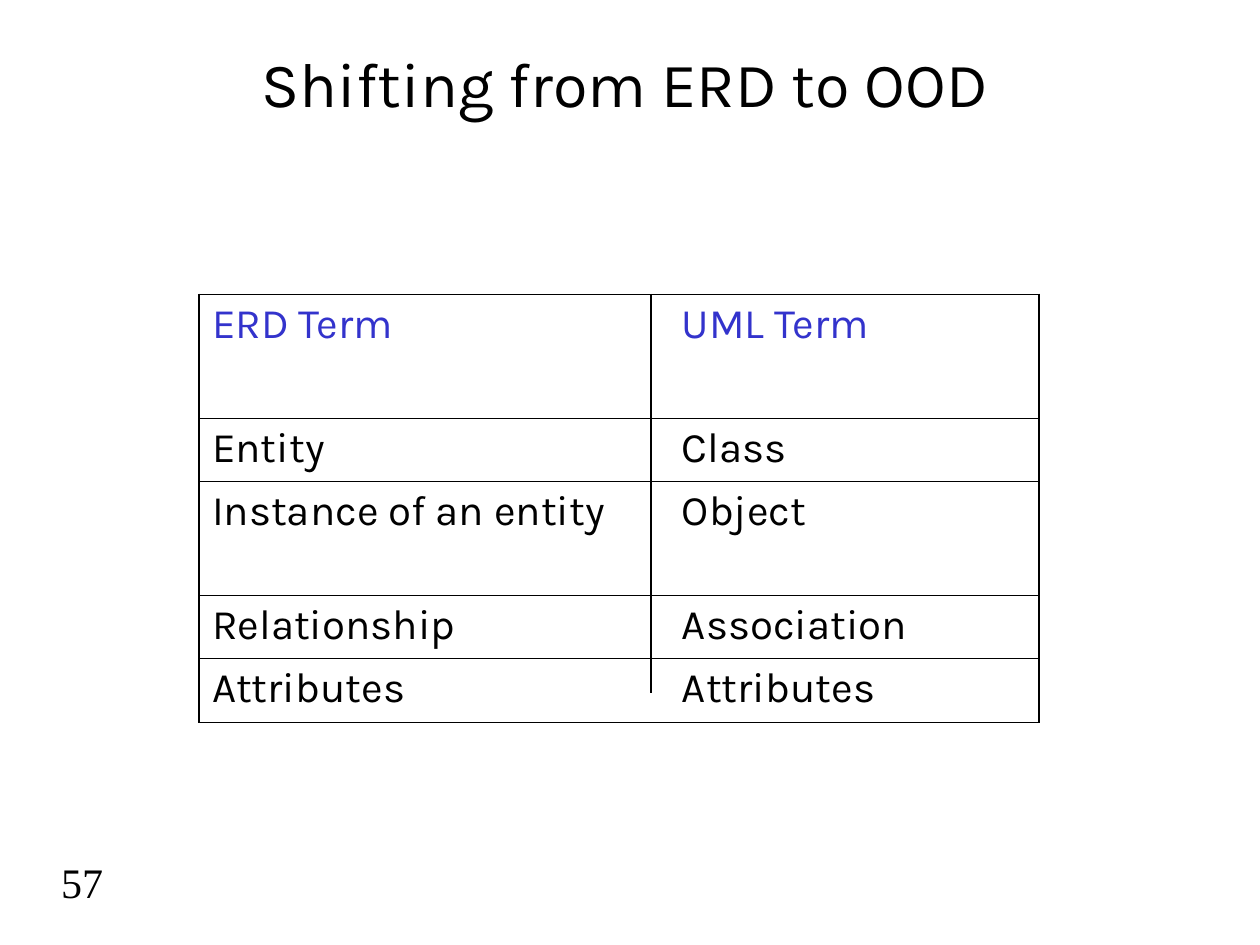
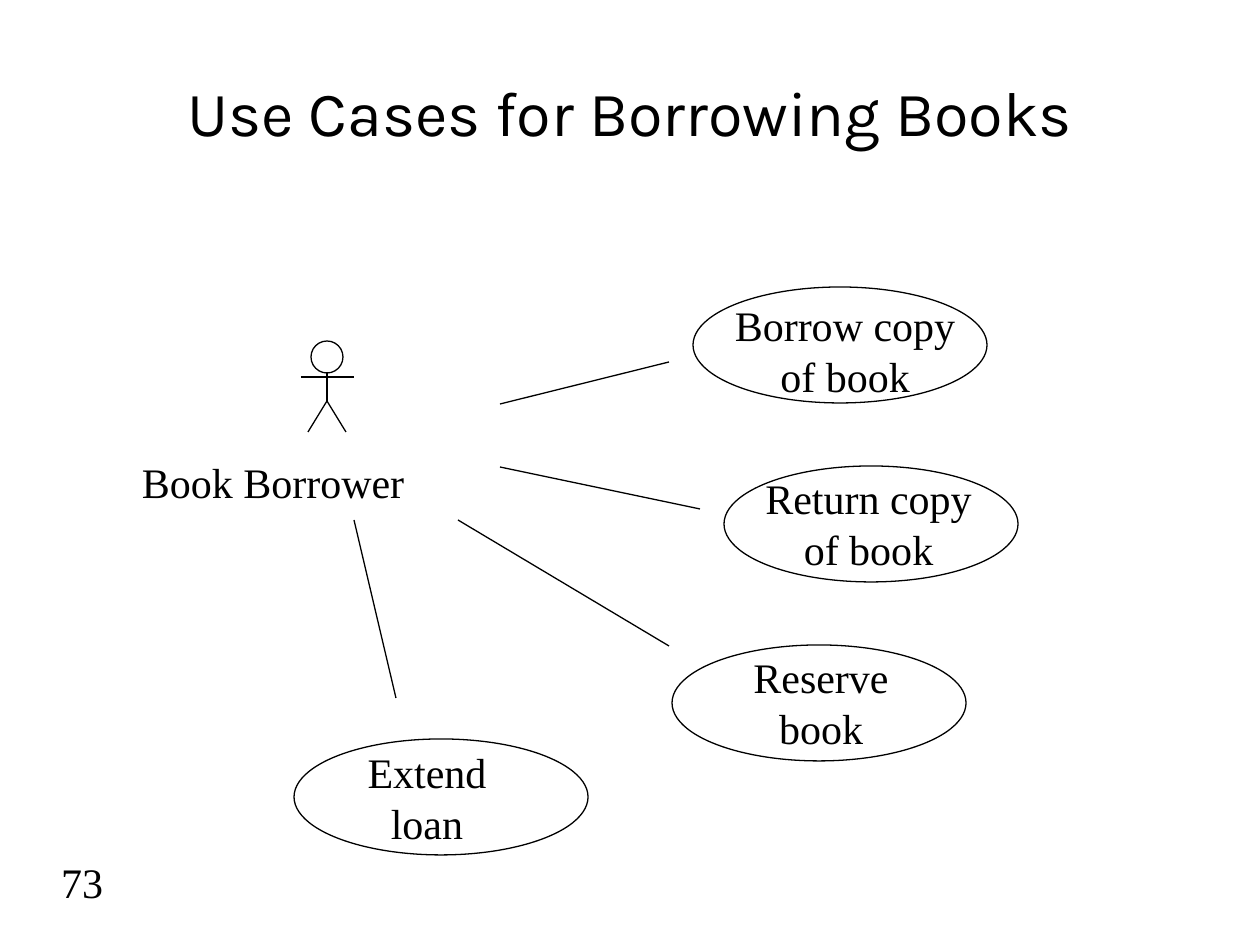
"""Build two slides on moving from ERD terms to UML, with a use case diagram."""
from dataclasses import dataclass
from typing import Optional, Union

from lxml.etree import SubElement
from pptx import Presentation
from pptx.dml.color import RGBColor
from pptx.enum.shapes import MSO_CONNECTOR as Connector, MSO_SHAPE as Preset
from pptx.enum.text import MSO_ANCHOR as Anchor, PP_ALIGN as Align
from pptx.oxml.ns import qn
from pptx.shapes.shapetree import GroupShapes, SlideShapes
from pptx.slide import Slide
from pptx.table import _Cell as Cell
from pptx.text.text import TextFrame
from pptx.util import Emu, Pt

Shapes = Union[SlideShapes, GroupShapes]

BLACK = RGBColor(0x00, 0x00, 0x00)
HEADING_BLUE = RGBColor(0x33, 0x33, 0xCC)
SANS, SERIF = "Karla", "Times New Roman"
EMU_PER_INCH, PX_PER_INCH = 914400, 126
INSET_X, INSET_Y = 13, 6
OUTLINE = 0.75
EDGE, RULE = 1.08, 0.45


@dataclass(frozen=True)
class Box:
    left: int
    top: int
    width: int
    height: int


@dataclass(frozen=True)
class Line:
    x1: int
    y1: int
    x2: int
    y2: int


@dataclass(frozen=True)
class Term:
    erd: str
    uml: str
    height: int
    color: RGBColor = BLACK


@dataclass(frozen=True)
class UseCase:
    name: str
    left: int
    top: int
    label: Box
    association: Line


SLIDE_NUMBER = Box(21, 851, 95, 63)
TERMS_TABLE = Box(199, 294, 840, 428)
TERM_COLUMNS = (210, 210, 420)
UML_INDENT = 63
TERMS = (
    Term("ERD Term", "UML Term", 124, HEADING_BLUE),
    Term("Entity", "Class", 63),
    Term("Instance of an entity", "Object", 114),
    Term("Relationship", "Association", 63),
    Term("Attributes", "Attributes", 64),
)
TERMS_DIVIDER = Line(651, 294, 651, 693)

ACTOR_HEAD = Box(311, 341, 32, 32)
ACTOR_LIMBS = (
    Line(327, 372, 327, 401),
    Line(301, 377, 354, 377),
    Line(327, 401, 308, 432),
    Line(327, 401, 346, 432),
)
ACTOR_NAME = Box(126, 451, 294, 63)
OVAL_WIDTH, OVAL_HEIGHT, LABEL_HEIGHT = 294, 116, 113
USE_CASES = (
    UseCase("Borrow copy of book", 693, 287,
            Box(703, 294, 284, LABEL_HEIGHT), Line(500, 404, 669, 362)),
    UseCase("Return copy of book", 724, 466,
            Box(732, 467, 273, LABEL_HEIGHT), Line(500, 467, 700, 509)),
    UseCase("Reserve book", 672, 645,
            Box(711, 646, 220, LABEL_HEIGHT), Line(458, 520, 669, 646)),
    UseCase("Extend loan", 294, 739,
            Box(322, 741, 210, LABEL_HEIGHT), Line(354, 520, 396, 698)),
)


def px(length: int) -> Emu:
    """Turn pixels into EMU."""
    return Emu(round(length * EMU_PER_INCH / PX_PER_INCH))


def place(box: Box) -> tuple[Emu, Emu, Emu, Emu]:
    """Give the position and size of a box in EMU."""
    return px(box.left), px(box.top), px(box.width), px(box.height)


def write(frame: TextFrame, text: str, *, font: str = SERIF, size: int = 24,
          color: RGBColor = BLACK, align: Align = Align.LEFT) -> None:
    """Fill a text frame with one formatted paragraph."""
    frame.word_wrap = True
    paragraph = frame.paragraphs[0]
    paragraph.alignment = align
    run = paragraph.add_run()
    run.text = text
    run.font.name, run.font.size = font, Pt(size)
    run.font.color.rgb = color


def add_text(slide: Slide, box: Box, text: str, *, anchor: Anchor = Anchor.TOP,
             align: Align = Align.CENTER, font: str = SERIF, size: int = 24) -> None:
    """Add a text box."""
    frame = slide.shapes.add_textbox(*place(box)).text_frame
    frame.margin_left = frame.margin_right = px(INSET_X)
    frame.margin_top = frame.margin_bottom = px(INSET_Y)
    frame.vertical_anchor = anchor
    write(frame, text, font=font, size=size, align=align)


def add_line(shapes: Shapes, line: Line) -> None:
    """Add a thin black straight line."""
    connector = shapes.add_connector(
        Connector.STRAIGHT, px(line.x1), px(line.y1), px(line.x2), px(line.y2))
    connector.line.color.rgb = BLACK
    connector.line.width = Pt(OUTLINE)
    SubElement(connector._element.spPr, qn("a:effectLst"))


def add_oval(shapes: Shapes, box: Box) -> None:
    """Add an unfilled ellipse with a thin black outline."""
    oval = shapes.add_shape(Preset.OVAL, *place(box))
    oval.shadow.inherit = False
    oval.fill.background()
    oval.line.color.rgb = BLACK
    oval.line.width = Pt(OUTLINE)


def set_border(cell: Cell, side: str, width: Optional[float]) -> None:
    """Draw one side of a cell in black, or clear it when there is no width."""
    border = SubElement(cell._tc.get_or_add_tcPr(), qn(f"a:ln{side}"))
    if width is None:
        SubElement(border, qn("a:noFill"))
        return
    border.set("w", str(Pt(width)))
    fill = SubElement(border, qn("a:solidFill"))
    SubElement(fill, qn("a:srgbClr")).set("val", str(BLACK))


def add_terms_table(slide: Slide) -> None:
    """Add the table that pairs ERD terms with UML terms."""
    table = slide.shapes.add_table(
        len(TERMS), len(TERM_COLUMNS), *place(TERMS_TABLE)).table
    table.first_row = table.horz_banding = False
    for column, width in zip(table.columns, TERM_COLUMNS):
        column.width = px(width)
    last = len(TERM_COLUMNS) - 1
    for index, term in enumerate(TERMS):
        row = table.rows[index]
        row.height = px(term.height)
        for position, cell in enumerate(row.cells):
            set_border(cell, "L", EDGE if position == 0 else None)
            set_border(cell, "R", EDGE if position == last else None)
            set_border(cell, "T", RULE)
            set_border(cell, "B", RULE)
            cell.fill.background()
        erd, uml = table.cell(index, 0), table.cell(index, last)
        erd.merge(table.cell(index, 1))
        for cell, text, indent in ((erd, term.erd, INSET_X), (uml, term.uml, UML_INDENT)):
            cell.margin_left, cell.margin_right = px(indent), px(INSET_X)
            cell.margin_top = cell.margin_bottom = px(INSET_Y)
            write(cell.text_frame, text, font=SANS, color=term.color)


def add_actor(slide: Slide) -> None:
    """Add the stick figure and its name."""
    figure = slide.shapes.add_group_shape().shapes
    add_oval(figure, ACTOR_HEAD)
    for limb in ACTOR_LIMBS:
        add_line(figure, limb)
    add_text(slide, ACTOR_NAME, "Book Borrower")


def add_use_case(slide: Slide, case: UseCase) -> None:
    """Add a use case with its label and its line towards the actor."""
    add_oval(slide.shapes, Box(case.left, case.top, OVAL_WIDTH, OVAL_HEIGHT))
    add_text(slide, case.label, case.name)
    add_line(slide.shapes, case.association)


def add_slide(deck: Presentation, title: str, title_box: Box, anchor: Anchor,
              number: int) -> Slide:
    """Add a blank slide with a title and a slide number."""
    slide = deck.slides.add_slide(deck.slide_layouts[6])
    add_text(slide, title_box, title, anchor=anchor, font=SANS, size=36)
    add_text(slide, SLIDE_NUMBER, str(number), align=Align.RIGHT)
    return slide


def main() -> None:
    """Build and save the deck."""
    deck = Presentation()
    deck.slide_width, deck.slide_height = px(1260), px(945)

    terms = add_slide(deck, "Shifting from ERD to OOD",
                      Box(0, 63, 1250, 63), Anchor.BOTTOM, 57)
    add_terms_table(terms)
    add_line(terms.shapes, TERMS_DIVIDER)

    borrowing = add_slide(deck, "Use Cases for Borrowing Books",
                          Box(95, 32, 1070, 158), Anchor.MIDDLE, 73)
    add_actor(borrowing)
    for case in USE_CASES:
        add_use_case(borrowing, case)

    deck.save("out.pptx")


if __name__ == "__main__":
    main()
